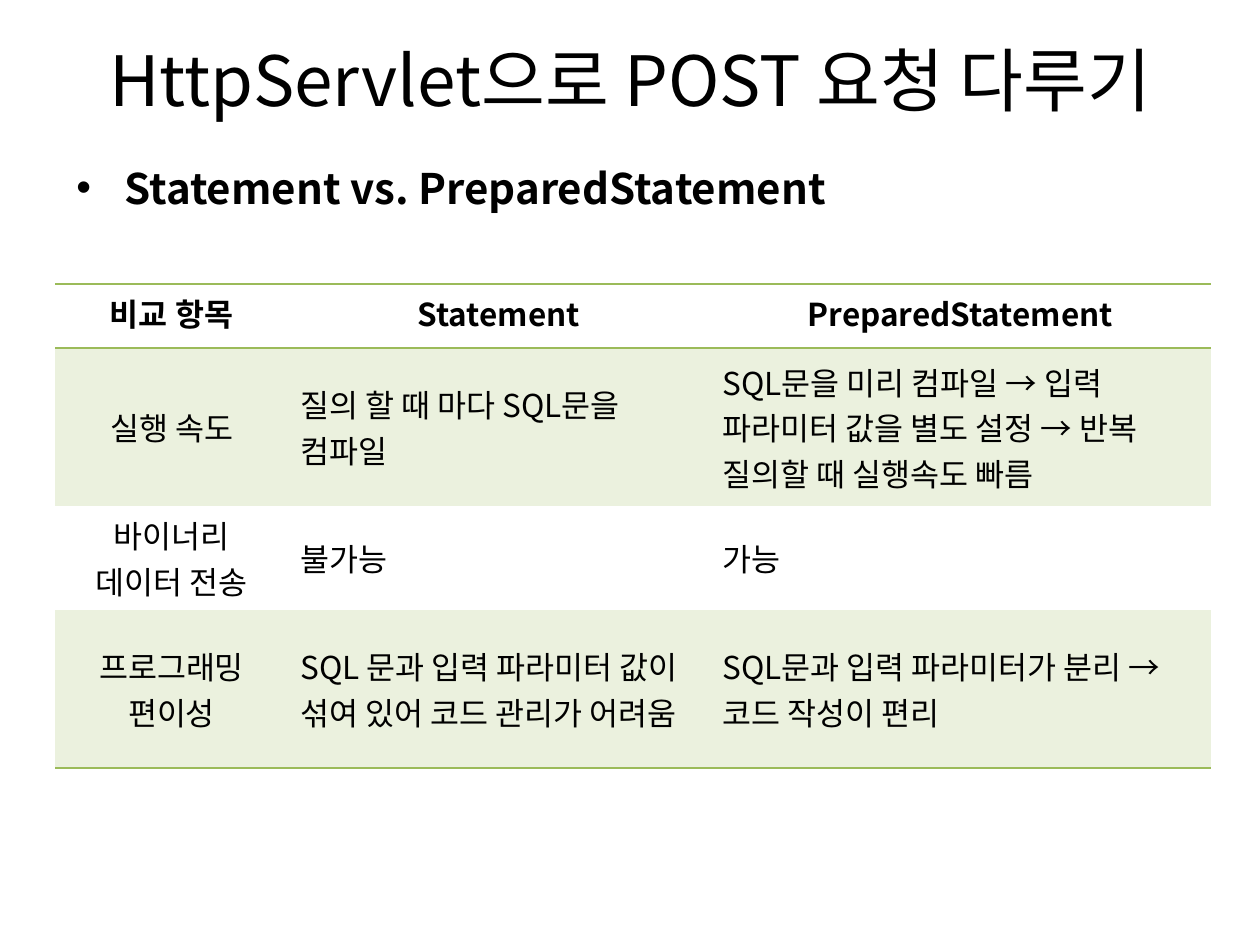
from lxml import etree
from pptx import Presentation
from pptx import util as u
from pptx.dml.color import RGBColor
from pptx.enum import text
from pptx.oxml.ns import qn

PX = 914400 // 126
FONT = "Noto Sans CJK KR"
COLORS = {"ink": "000000", "rule": "9BBB59", "band": "EBF1DE", "plain": "FFFFFF"}


def style(frame, size, bold, align):
    for para in frame.paragraphs:
        para.alignment = align
        for span in para.runs:
            span.font.size = u.Pt(size)
            span.font.bold = bold
            span.font.name = FONT
            span.font.color.rgb = RGBColor.from_string(COLORS["ink"])
            east = etree.SubElement(span.font._element, qn("a:ea"))
            east.set("typeface", FONT)


def draw_borders(cell, ruled):
    props = cell._tc.get_or_add_tcPr()
    for side in "LRTB":
        line = etree.SubElement(props, qn("a:ln" + side), w=str(u.Pt(1)))
        if side in ruled:
            fill = etree.SubElement(line, qn("a:solidFill"))
            etree.SubElement(fill, qn("a:srgbClr"), val=COLORS["rule"])
        else:
            etree.SubElement(line, qn("a:noFill"))


LEFT, CENTER = text.PP_ALIGN.LEFT, text.PP_ALIGN.CENTER
MIDDLE, TOP = text.MSO_ANCHOR.MIDDLE, text.MSO_ANCHOR.TOP

deck = Presentation()
deck.slide_width, deck.slide_height = 1260 * PX, 945 * PX
page = deck.slides.add_slide(deck.slide_layouts[6])

headings = [
    ("HttpServlet으로 POST 요청 다루기", (63, 0, 1134, 158), 39.6, False, CENTER, MIDDLE),
    ("Statement vs. PreparedStatement", (64, 156, 1111, 83), 24, True, LEFT, TOP),
]
for words, place, size, bold, align, anchor in headings:
    box = page.shapes.add_textbox(*[n * PX for n in place])
    box.text_frame.text = words
    box.text_frame.word_wrap = True
    box.text_frame.vertical_anchor = anchor
    style(box.text_frame, size, bold, align)

bullet_para = box.text_frame.paragraphs[0]
bullet_props = bullet_para._p.get_or_add_pPr()
bullet_props.set("marL", str(48 * PX))
bullet_props.set("indent", str(-48 * PX))
space = etree.SubElement(bullet_props, qn("a:spcBef"))
etree.SubElement(space, qn("a:spcPct"), val="20000")
etree.SubElement(bullet_props, qn("a:buFont"), typeface="Arial")
etree.SubElement(bullet_props, qn("a:buChar"), char="•")

rows = [
    ["비교 항목", "Statement", "PreparedStatement"],
    ["실행 속도", "질의 할 때 마다 SQL문을 컴파일",
     "SQL문을 미리 컴파일 → 입력 파라미터 값을 별도 설정 → 반복 질의할 때 실행속도 빠름"],
    ["바이너리\n데이터 전송", "불가능", "가능"],
    ["프로그래밍\n편이성", "SQL 문과 입력 파라미터 값이 섞여 있어 코드 관리가 어려움",
     "SQL문과 입력 파라미터가 분리 → 코드 작성이 편리"],
]
widths = [233, 422, 501]
heights = [64, 158, 104, 158]
ruled_sides = ["TB", "T", "", "B"]

table = page.shapes.add_table(
    len(rows), len(widths), 55 * PX, 284 * PX, sum(widths) * PX, sum(heights) * PX).table
table.first_row = False
table.horz_banding = False
for column, width in zip(table.columns, widths):
    column.width = width * PX
for r, (row, height) in enumerate(zip(rows, heights)):
    table.rows[r].height = height * PX
    for c, words in enumerate(row):
        cell = table.cell(r, c)
        cell.text = words
        cell.vertical_anchor = MIDDLE if r else TOP
        style(cell.text_frame, 18, r == 0, CENTER if r == 0 or c == 0 else LEFT)
        draw_borders(cell, ruled_sides[r])
        cell.fill.solid()
        cell.fill.fore_color.rgb = RGBColor.from_string(COLORS["band" if r % 2 else "plain"])

deck.save("out.pptx")
